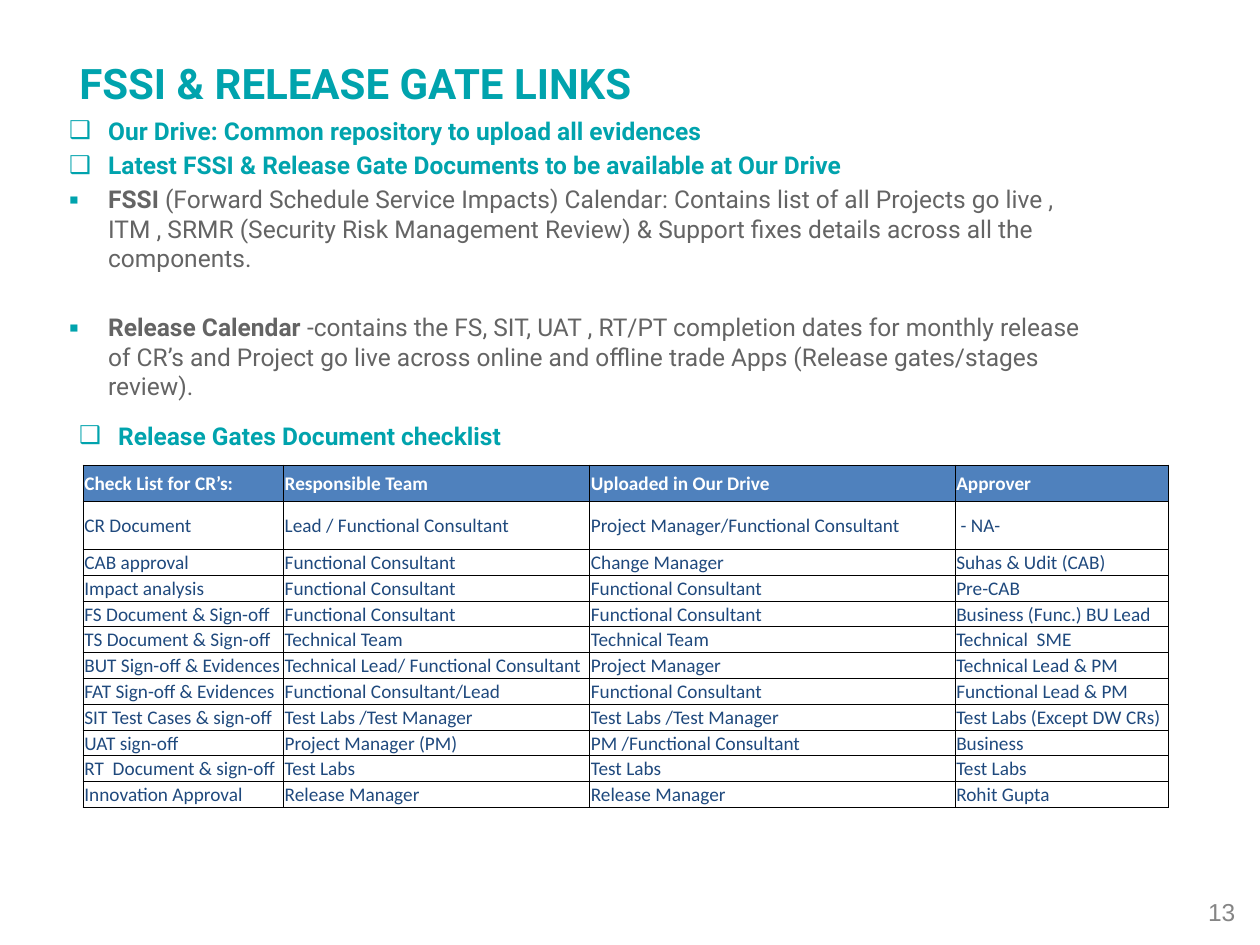
"""Build the slide on FSSI and release gate links."""
from lxml import etree
from pptx import Presentation
from pptx.dml.color import RGBColor
from pptx.enum.text import MSO_ANCHOR, MSO_AUTO_SIZE, PP_ALIGN
from pptx.oxml.ns import qn
from pptx.util import Inches, Pt

TOP, MIDDLE = MSO_ANCHOR.TOP, MSO_ANCHOR.MIDDLE
LEFT, NO_FIT = PP_ALIGN.LEFT, MSO_AUTO_SIZE.NONE
TEAL, GREY, NAVY, WHITE = "00A3AD", "646464", "1F497D", "FFFFFF"
HEADER_BLUE, BORDER, PAGE_GREY = "4F81BD", "000000", "858585"
SLIDE_WIDTH, SLIDE_HEIGHT = 10, 7.5

TITLE = "FSSI & RELEASE GATE LINKS"
PAGE_NUMBER = "13"
HEADING = {"name": "Roboto", "size": Pt(14), "bold": True, "color": TEAL}
TERM = {**HEADING, "color": GREY}
DETAIL = {**TERM, "bold": False}

# (bullet, space before in points, [(text, format), ...])
POINTS = [
    ("❑", 2.8, [("Our Drive: Common repository to upload all evidences", HEADING)]),
    ("❑", 2.8, [("Latest FSSI & Release Gate Documents to be available at Our Drive", HEADING)]),
    ("▪", 2.8, [("FSSI", TERM),
                (" (Forward Schedule Service Impacts) Calendar: Contains list of all Projects go live , "
                 "ITM , SRMR (Security Risk Management Review) & Support fixes details across all the "
                 "components.", DETAIL)]),
    ("▪", 22.5, [("Release Calendar ", TERM),
                 ("-contains the FS, SIT, UAT , RT/PT completion dates for monthly release of CR’s and "
                  "Project go live across online and offline trade Apps (Release gates/stages review).",
                  DETAIL)]),
]
CHECKLIST_HEADING = [("❑", 0, [("Release Gates Document checklist", HEADING)])]
CHECKLIST = [
    ("Check List for CR’s:", "Responsible Team", "Uploaded in Our Drive", "Approver"),
    ("CR Document", "Lead / Functional Consultant", "Project Manager/Functional Consultant", " - NA-"),
    ("CAB approval", "Functional Consultant", "Change Manager", "Suhas & Udit (CAB)"),
    ("Impact analysis", "Functional Consultant", "Functional Consultant", "Pre-CAB"),
    ("FS Document & Sign-off", "Functional Consultant", "Functional Consultant", "Business (Func.) BU Lead"),
    ("TS Document & Sign-off", "Technical Team", "Technical Team", "Technical  SME"),
    ("BUT Sign-off & Evidences", "Technical Lead/ Functional Consultant", "Project Manager",
     "Technical Lead & PM"),
    ("FAT Sign-off & Evidences", "Functional Consultant/Lead", "Functional Consultant", "Functional Lead & PM"),
    ("SIT Test Cases & sign-off", "Test Labs /Test Manager", "Test Labs /Test Manager",
     "Test Labs (Except DW CRs)"),
    ("UAT sign-off", "Project Manager (PM)", "PM /Functional Consultant", "Business"),
    ("RT  Document & sign-off", "Test Labs", "Test Labs", "Test Labs"),
    ("Innovation Approval", "Release Manager", "Release Manager", "Rohit Gupta"),
]
COLUMN_WIDTHS = [1.59, 2.43, 2.9, 1.69]
TABLE_HEIGHT, LEADING_ROWS = 2.72, [0.29, 0.38]


def assign(target, values):
    for key, value in values.items():
        setattr(target, key, value)


def rgb(color):
    return RGBColor.from_string(color)


def add_run(paragraph, text, style):
    run = paragraph.add_run()
    run.text = text
    assign(run.font, {key: value for key, value in style.items() if key != "color"})
    run.font.color.rgb = rgb(style["color"])


def add_frame(slide, box, wrap):
    frame = slide.shapes.add_textbox(*map(Inches, box)).text_frame
    assign(frame, {"word_wrap": wrap, "vertical_anchor": TOP})
    return frame


def add_bullets(frame, points):
    for index, (bullet, space, runs) in enumerate(points):
        paragraph = frame.add_paragraph() if index else frame.paragraphs[0]
        paragraph.space_before = Pt(space)
        properties = paragraph._p.get_or_add_pPr()
        properties.set("marL", str(Inches(0.31)))
        properties.set("indent", str(-Inches(0.31)))
        bullet_color = etree.SubElement(properties, qn("a:buClr"))
        etree.SubElement(bullet_color, qn("a:srgbClr"), val=TEAL)
        etree.SubElement(properties, qn("a:buFont"), typeface="Roboto")
        etree.SubElement(properties, qn("a:buChar"), char=bullet)
        for text, style in runs:
            add_run(paragraph, text, style)


def add_borders(cell):
    properties = cell._tc.get_or_add_tcPr()
    for side in ("lnL", "lnR", "lnT", "lnB"):
        line = etree.SubElement(properties, qn(f"a:{side}"), w=str(Pt(0.5)))
        fill = etree.SubElement(line, qn("a:solidFill"))
        etree.SubElement(fill, qn("a:srgbClr"), val=BORDER)


def add_checklist(slide):
    row_total = len(CHECKLIST)
    body_height = (TABLE_HEIGHT - sum(LEADING_ROWS)) / (row_total - len(LEADING_ROWS))
    heights = LEADING_ROWS + [body_height] * (row_total - len(LEADING_ROWS))
    box = map(Inches, (0.66, 3.69, sum(COLUMN_WIDTHS), TABLE_HEIGHT))
    table = slide.shapes.add_table(row_total, len(COLUMN_WIDTHS), *box).table
    assign(table, {"first_row": False, "horz_banding": False})
    for column, width in zip(table.columns, COLUMN_WIDTHS):
        column.width = Inches(width)
    inset = Inches(0.01)
    for index, (row, height, entries) in enumerate(zip(table.rows, heights, CHECKLIST)):
        row.height = Inches(height)
        header = index == 0
        style = {"name": "Calibri", "size": Pt(11), "bold": header, "color": WHITE if header else NAVY}
        for cell, entry in zip(row.cells, entries):
            assign(cell, {"margin_left": inset, "margin_right": inset, "margin_top": inset,
                          "margin_bottom": 0, "vertical_anchor": MIDDLE})
            add_borders(cell)
            if header:
                cell.fill.solid()
                cell.fill.fore_color.rgb = rgb(HEADER_BLUE)
            else:
                cell.fill.background()
            add_run(cell.text_frame.paragraphs[0], entry, style)


def main():
    deck = Presentation()
    assign(deck, {"slide_width": Inches(SLIDE_WIDTH), "slide_height": Inches(SLIDE_HEIGHT)})
    slide = deck.slides.add_slide(deck.slide_layouts[5])

    title = slide.shapes.title
    assign(title, {"left": Inches(0.53), "top": Inches(0.44), "width": Inches(7.85), "height": Inches(0.72)})
    assign(title.text_frame, {"vertical_anchor": TOP, "auto_size": NO_FIT, "word_wrap": True})
    heading = title.text_frame.paragraphs[0]
    assign(heading, {"alignment": LEFT, "line_spacing": Pt(26.6)})
    add_run(heading, TITLE, {**HEADING, "size": Pt(24)})

    page = add_frame(slide, (9.49, 7.07, 0.44, 0.34), False)
    add_run(page.paragraphs[0], PAGE_NUMBER, {"name": "Arial", "size": Pt(14), "color": PAGE_GREY})
    add_bullets(add_frame(slide, (0.45, 0.87, 8.29, 2.29), True), POINTS)
    add_checklist(slide)
    add_bullets(add_frame(slide, (0.53, 3.29, 3.87, 0.34), False), CHECKLIST_HEADING)
    deck.save("out.pptx")


if __name__ == "__main__":
    main()
